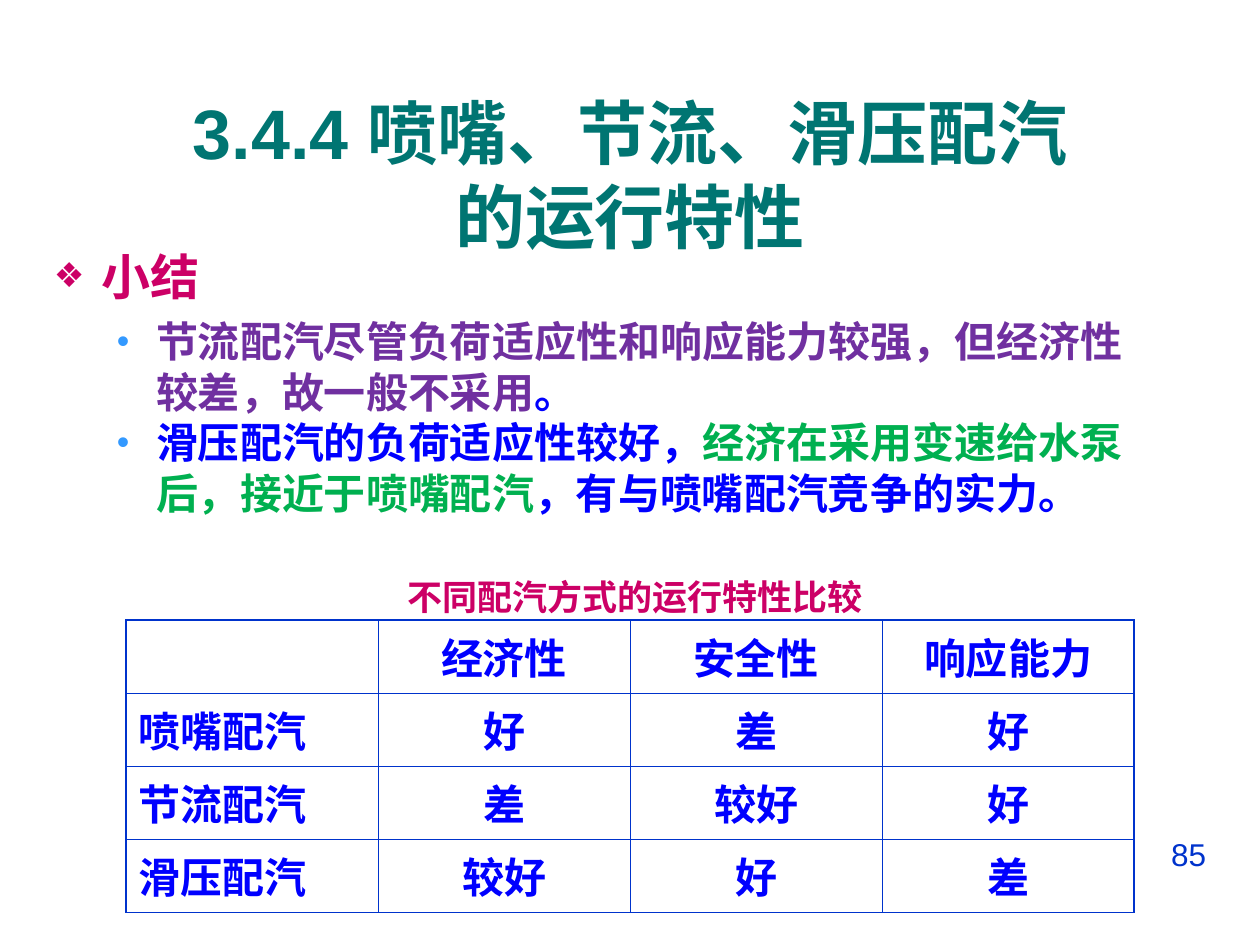
from typing import NamedTuple, Optional

from lxml.etree import SubElement
from pptx import Presentation
from pptx.dml.color import RGBColor
from pptx.enum.text import MSO_ANCHOR, PP_ALIGN
from pptx.oxml.ns import qn
from pptx.util import Inches, Pt

FONT = "Arial"
COLORS = {
    "title": "007572",
    "heading": "CC0066",
    "point": "3399FF",
    "text": "0000FF",
    "drawback": "7030A0",
    "strength": "00B050",
    "rule": "0033CC",
}


class Span(NamedTuple):
    text: str
    color: str
    size: float
    bold: bool = True


class Bullet(NamedTuple):
    char: str
    color: str
    percent: int


class Item(NamedTuple):
    spans: list[Span]
    left: float
    hanging: float
    bullet: Optional[Bullet] = None
    before: float = 0
    spacing: float = 1.0
    align: PP_ALIGN = PP_ALIGN.LEFT


def add_span(paragraph, span: Span) -> None:
    run = paragraph.add_run()
    run.text = span.text
    run.font.size = Pt(span.size)
    run.font.bold = span.bold
    run.font.name = FONT
    run.font.color.rgb = RGBColor.from_string(COLORS[span.color])
    SubElement(run.font._element, qn("a:ea"), typeface=FONT)


def add_text_frame(slide, left: float, top: float, width: float, height: float,
                   anchor: MSO_ANCHOR = MSO_ANCHOR.TOP):
    box = slide.shapes.add_textbox(Inches(left), Inches(top), Inches(width), Inches(height))
    frame = box.text_frame
    frame.word_wrap = True
    frame.vertical_anchor = anchor
    return frame


def set_indent(paragraph, item: Item) -> None:
    """Set the hanging indent and the bullet, if there is one."""
    properties = paragraph._p.get_or_add_pPr()
    properties.set("marL", str(Inches(item.left)))
    properties.set("indent", str(-Inches(item.hanging)))
    if item.bullet is None:
        SubElement(properties, qn("a:buNone"))
        return
    color = SubElement(properties, qn("a:buClr"))
    SubElement(color, qn("a:srgbClr"), val=COLORS[item.bullet.color])
    SubElement(properties, qn("a:buSzPct"), val=str(item.bullet.percent * 1000))
    SubElement(properties, qn("a:buFont"), typeface=FONT)
    SubElement(properties, qn("a:buChar"), char=item.bullet.char)


def add_items(frame, items: list[Item]) -> None:
    for index, item in enumerate(items):
        paragraph = frame.add_paragraph() if index else frame.paragraphs[0]
        set_indent(paragraph, item)
        paragraph.alignment = item.align
        paragraph.line_spacing = item.spacing
        paragraph.space_before = Pt(item.before)
        for span in item.spans:
            add_span(paragraph, span)


def set_borders(cell, widths: dict[str, float]) -> None:
    properties = cell._tc.get_or_add_tcPr()
    for position, (side, width) in enumerate(widths.items()):
        line = SubElement(properties, qn(f"a:ln{side}"), w=str(Pt(width)))
        fill = SubElement(line, qn("a:solidFill"))
        SubElement(fill, qn("a:srgbClr"), val=COLORS["rule"])
        properties.insert(position, line)


def add_comparison(slide, rows: list[list[str]], left: float, top: float,
                   column_width: float, row_height: float) -> None:
    outer, inner = 1.08, 0.45
    last_row, last_column = len(rows) - 1, len(rows[0]) - 1
    table = slide.shapes.add_table(
        len(rows), len(rows[0]), Inches(left), Inches(top),
        Inches(column_width * len(rows[0])), Inches(row_height * len(rows))).table
    table.first_row = table.horz_banding = False
    for row in table.rows:
        row.height = Inches(row_height)
    for r, values in enumerate(rows):
        for c, value in enumerate(values):
            cell = table.cell(r, c)
            cell.fill.background()
            cell.margin_top = Inches(0.13)
            set_borders(cell, {
                "L": inner if c else outer,
                "R": outer if c == last_column else inner,
                "T": inner if r else outer,
                "B": outer if r == last_row else inner,
            })
            if value:
                paragraph = cell.text_frame.paragraphs[0]
                paragraph.alignment = PP_ALIGN.CENTER if c else PP_ALIGN.LEFT
                add_span(paragraph, Span(value, "text", 24))


def main() -> None:
    presentation = Presentation()
    presentation.slide_width, presentation.slide_height = Inches(10), Inches(7.5)
    slide = presentation.slides.add_slide(presentation.slide_layouts[6])

    title = add_text_frame(slide, 0.33, 0.75, 9.34, 1.25, MSO_ANCHOR.MIDDLE).paragraphs[0]
    title.alignment = PP_ALIGN.CENTER
    add_span(title, Span("3.4.4 喷嘴、节流、滑压配汽", "title", 40))
    title.add_line_break()
    add_span(title, Span("的运行特性", "title", 40))

    diamond = Bullet("❖", "heading", 70)
    dot = Bullet("•", "point", 85)
    summary = add_text_frame(slide, 0.33, 1.92, 8.92, 3)
    summary.margin_top = Inches(0.13)
    add_items(summary, [
        Item([Span("小结", "heading", 28)], 0.38, 0.38, diamond, spacing=0.8),
        Item([Span("节流配汽尽管负荷适应性和响应能力较强，但经济性较差，故一般不采用", "drawback", 24),
              Span("。", "text", 24)], 0.81, 0.31, dot, before=6),
        Item([Span("滑压配汽的负荷适应性较好，", "text", 24),
              Span("经济在采用变速给水泵后，接近于喷嘴配汽", "strength", 24),
              Span("，有与喷嘴配汽竞争的实力。", "text", 24)], 0.81, 0.31, dot),
        Item([Span("不同配汽方式的运行特性比较", "heading", 20)], 0.81, 0.31,
             before=38, spacing=0.8, align=PP_ALIGN.CENTER),
    ])

    add_comparison(slide, [
        ["", "经济性", "安全性", "响应能力"],
        ["喷嘴配汽", "好", "差", "好"],
        ["节流配汽", "差", "较好", "好"],
        ["滑压配汽", "较好", "好", "差"],
    ], left=1, top=4.92, column_width=2, row_height=0.58)

    page_number = add_text_frame(slide, 7.17, 6.58, 2.5, 0.52).paragraphs[0]
    page_number.alignment = PP_ALIGN.RIGHT
    add_span(page_number, Span("85", "rule", 18, bold=False))

    presentation.save("out.pptx")


if __name__ == "__main__":
    main()
